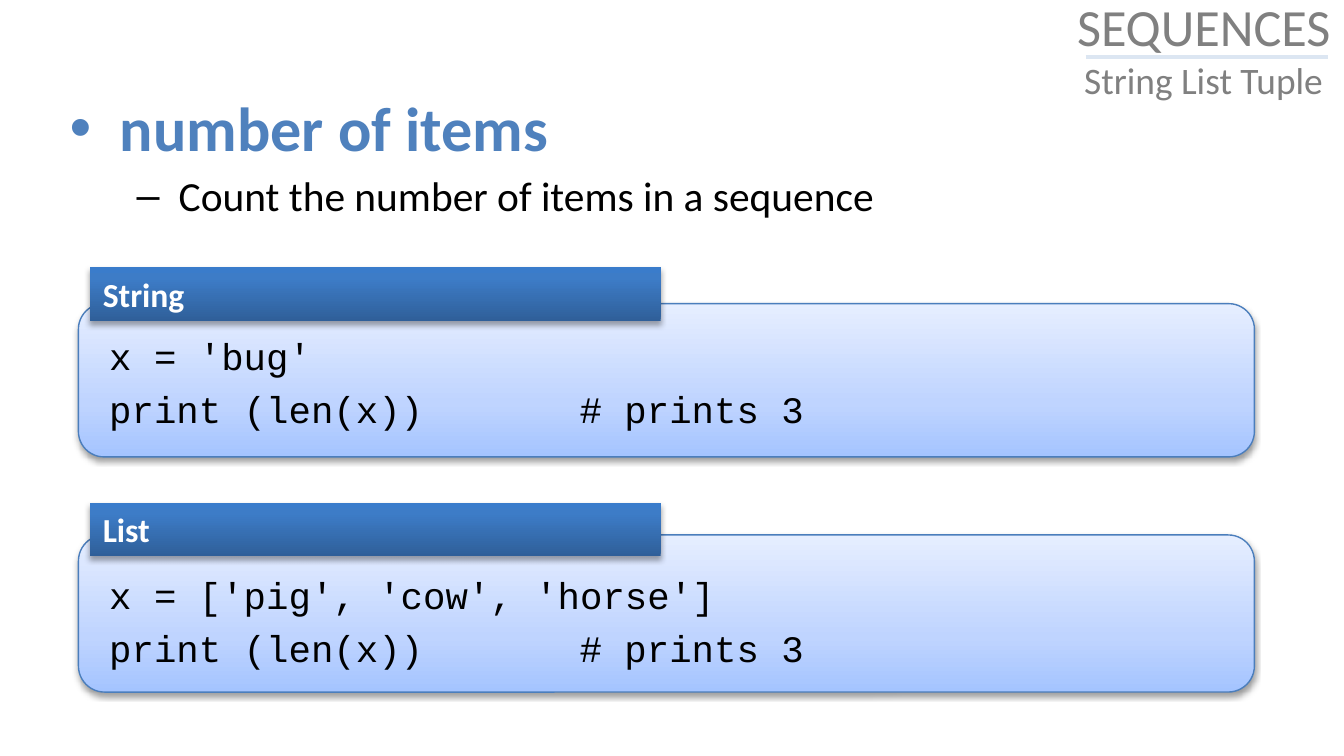
from dataclasses import dataclass
from lxml.etree import SubElement
from pptx import Presentation
from pptx.dml.color import RGBColor
from pptx.enum.shapes import MSO_CONNECTOR, MSO_SHAPE
from pptx.enum.text import MSO_ANCHOR, PP_ALIGN
from pptx.oxml.ns import qn
from pptx.util import Pt


@dataclass(frozen=True)
class Theme:
    """Colours, fonts and type sizes of the slide."""
    sans: str = "Calibri"
    mono: str = "Courier New"
    blue: str = "4F81BD"
    black: str = "000000"
    white: str = "FFFFFF"
    grey: str = "808080"
    edge: str = "4B7EBC"
    rule: str = "DCE6F2"
    pale: tuple = ((0, "A4C4FF"), (35, "BFD4FF"), (100, "E6EEFF"))
    deep: tuple = ((0, "2F5F99"), (80, "3D7CC7"), (100, "3A7CCB"))
    head: float = 33.3
    sub: float = 22.2
    code: float = 20
    tab: float = 18
    title: float = 28
    topic: float = 20


THEME = Theme()


def rgb(tone):
    """Turn a hex string into a colour."""
    return RGBColor.from_string(tone)


def style(para, face, tone, size=None, bold=False):
    """Set the font of a paragraph."""
    font = para.font
    font.name, font.bold = face, bold
    font.color.rgb = rgb(tone)
    if size:
        font.size = Pt(size)


def indent(para, left, hang=0, mark=None):
    """Set the left indent, hanging indent and bullet of a paragraph."""
    props = para._p.get_or_add_pPr()
    props.set("marL", str(Pt(left)))
    props.set("indent", str(Pt(-hang)))
    if mark:
        SubElement(props, qn("a:buFont"), typeface="Arial")
        SubElement(props, qn("a:buChar"), char=mark)


def textbox(shapes, box):
    """Add a wrapping text box and return its frame."""
    frame = shapes.add_textbox(*map(Pt, box)).text_frame
    frame.word_wrap = True
    return frame


def paras(frame, texts):
    """Fill a frame with one paragraph per text and yield each."""
    for i, text in enumerate(texts):
        para = frame.add_paragraph() if i else frame.paragraphs[0]
        para.text = text
        yield para


def shade(shape, stops):
    """Fill a shape with an upward gradient."""
    shape.fill.gradient()
    shape.fill.gradient_angle = 90
    group = shape._element.spPr.find(".//" + qn("a:gsLst"))
    group.clear()
    for spot, tone in stops:
        stop = SubElement(group, qn("a:gs"), pos=str(spot * 1000))
        SubElement(stop, qn("a:srgbClr"), val=tone)


def shadow(shape, alpha, drop):
    """Give a shape a soft shadow below it."""
    shape.shadow.inherit = False
    effect = shape._element.spPr.find(qn("a:effectLst"))
    outer = SubElement(effect, qn("a:outerShdw"), blurRad=str(Pt(3.1)),
                       dist=str(Pt(drop)), dir="5400000", rotWithShape="0")
    tone = SubElement(outer, qn("a:srgbClr"), val=THEME.black)
    SubElement(tone, qn("a:alpha"), val=str(alpha * 1000))


def panel(shapes, box):
    """Add the rounded panel behind the code."""
    shape = shapes.add_shape(MSO_SHAPE.ROUNDED_RECTANGLE, *map(Pt, box))
    shade(shape, THEME.pale)
    shape.line.color.rgb = rgb(THEME.edge)
    shape.line.width = Pt(0.75)
    shadow(shape, 38, 1.6)


def label(shapes, box, name):
    """Add the dark label of a panel."""
    shape = shapes.add_shape(MSO_SHAPE.RECTANGLE, *map(Pt, box))
    shade(shape, THEME.deep)
    shape.line.fill.background()
    shadow(shape, 35, 1.8)
    frame = shape.text_frame
    frame.vertical_anchor = MSO_ANCHOR.TOP
    para = frame.paragraphs[0]
    para.text = name
    para.alignment = PP_ALIGN.LEFT
    style(para, THEME.sans, THEME.white, THEME.tab, True)


def sample(slide, name, lines, tab, top, text, foot):
    """Add a labelled code sample as a group."""
    shapes = slide.shapes.add_group_shape().shapes
    panel(shapes, (42, top, 630, foot - top))
    frame = textbox(shapes, (42, text, 610, foot - text))
    for para in paras(frame, lines):
        para.space_before = Pt(4.5)
        indent(para, 9.4)
        style(para, THEME.mono, THEME.black, THEME.code)
    label(shapes, (48, tab, 306, 28.8), name)


def intro(slide):
    """Add the bulleted heading and its explanation."""
    frame = textbox(slide.shapes, (30.2, 44.6, 648, 74.2))
    head, sub = paras(frame, ("number of items",
                              "Count the number of items in a sequence"))
    sub.level = 1
    head.space_before, sub.space_before = Pt(2), Pt(3)
    indent(head, 27, 27, "•")
    indent(sub, 58.5, 22.5, "–")
    style(head, THEME.sans, THEME.blue, THEME.head, True)
    style(sub, THEME.sans, THEME.black, THEME.sub)


def title(slide):
    """Add the corner title and the rule between its lines."""
    frame = textbox(slide.shapes, (563.8, -1.4, 162, 54))
    frame.vertical_anchor = MSO_ANCHOR.MIDDLE
    para = frame.paragraphs[0]
    para.alignment = PP_ALIGN.CENTER
    style(para, THEME.sans, THEME.grey)
    upper = para.add_run()
    upper.text, upper.font.size = "SEQUENCES", Pt(THEME.title)
    para.add_line_break()
    lower = para.add_run()
    lower.text, lower.font.size = "String List Tuple", Pt(THEME.topic)
    ends = map(Pt, (581.8, 30.4, 711.4, 30.4))
    rule = slide.shapes.add_connector(MSO_CONNECTOR.STRAIGHT, *ends)
    rule.line.color.rgb = rgb(THEME.rule)
    rule.line.width = Pt(2)
    SubElement(rule._element.spPr, qn("a:effectLst"))


def main():
    """Build and save the slide."""
    deck = Presentation()
    deck.slide_width, deck.slide_height = Pt(720), Pt(405)
    slide = deck.slides.add_slide(deck.slide_layouts[6])
    count = "print (len(x))\t\t\t# prints 3"
    intro(slide)
    sample(slide, "String", ("x = 'bug'", count), 143.3, 162.7, 175, 244.8)
    sample(slide, "List", ("x = ['pig', 'cow', 'horse']", count),
           269.3, 286.6, 303.1, 370.8)
    title(slide)
    deck.save("out.pptx")


main()
